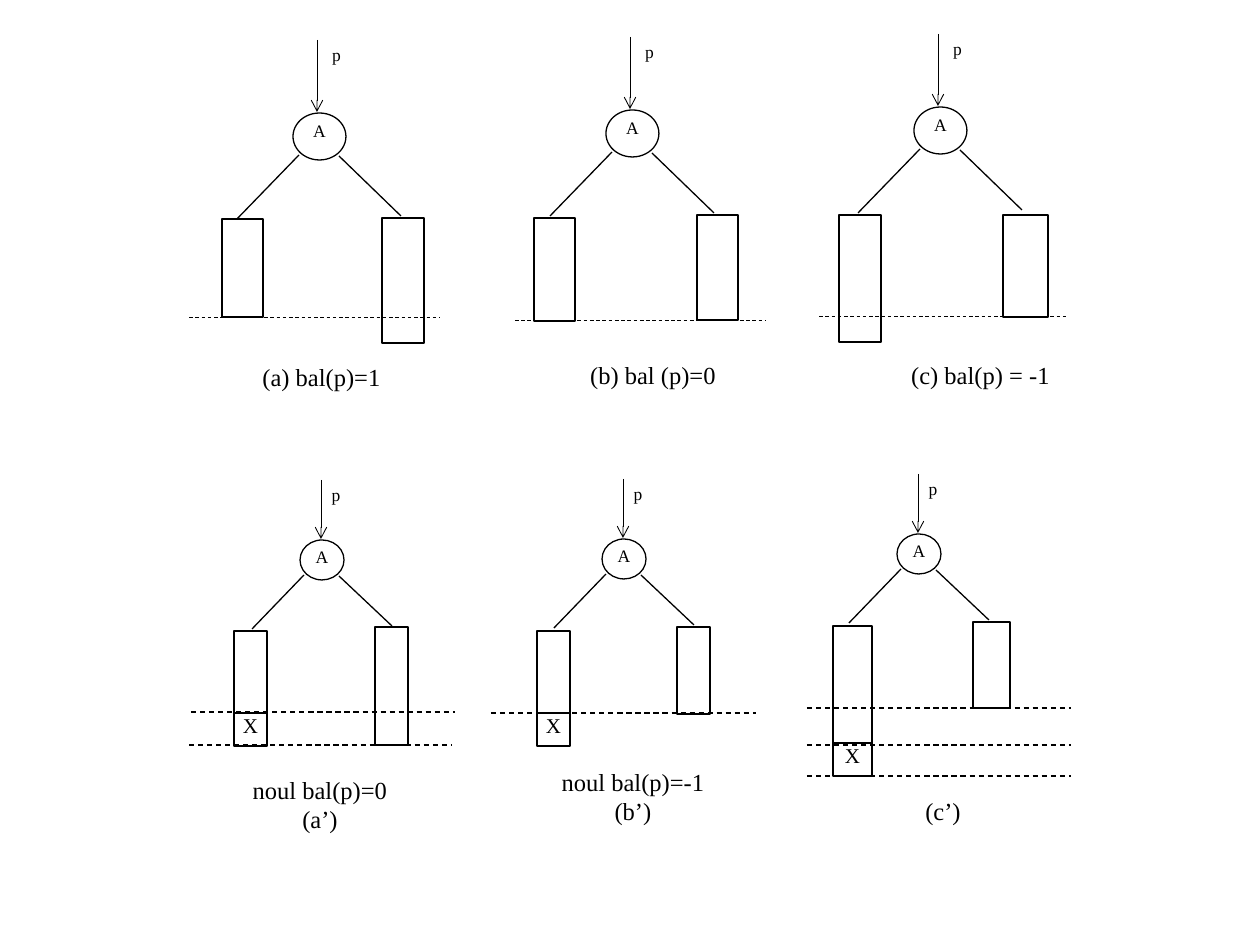
import pptx
import pptx.util
import pptx.dml.color
import pptx.enum.dml
import pptx.enum.shapes
import pptx.enum.text
import pptx.oxml
import pptx.oxml.ns

SCALE = 914400 / 126
BLACK, WHITE = "000000", "FFFFFF"
FONT = "Times New Roman"
SHAPES = pptx.enum.shapes.MSO_SHAPE

BEFORE = {
    "node": (53, 47), "label": (17, -74, 53, 63), "pointer": (24, -73, 24, -1),
    "branches": [(6, 42, -56, 106), (46, 43, 108, 103)], "dash_width": 0.5,
}
AFTER = {
    "node": (44, 40), "label": (14, -61, 44, 53), "pointer": (21, -60, 21, -1),
    "branches": [(4, 35, -48, 89), (39, 36, 92, 86)], "dash_width": 0.75,
}

TREES = [
    {"layout": BEFORE, "at": (293, 113),
     "subtrees": [(222, 219, 41, 98), (382, 218, 42, 125)],
     "levels": [(189, 440, 317)],
     "caption": ["(a) bal(p)=1"], "caption_at": (234, 362, 175, 48)},
    {"layout": BEFORE, "at": (606, 110),
     "subtrees": [(534, 218, 41, 103), (697, 215, 41, 105)],
     "levels": [(515, 766, 320)],
     "caption": ["(b) bal (p)=0"], "caption_at": (566, 360, 174, 49)},
    {"layout": BEFORE, "at": (914, 107),
     "subtrees": [(839, 215, 42, 127), (1003, 215, 45, 102)],
     "levels": [(819, 1069, 316)],
     "caption": ["(c) bal(p) = -1"], "caption_at": (890, 360, 181, 49)},
    {"layout": AFTER, "at": (300, 540),
     "subtrees": [(234, 631, 33, 82), (375, 627, 33, 118)],
     "inserted": (234, 713, 33, 33),
     "levels": [(189, 451, 745), (191, 455, 712)],
     "caption": ["noul bal(p)=0", "(a’)"], "caption_at": (226, 775, 188, 76)},
    {"layout": AFTER, "at": (602, 539),
     "subtrees": [(537, 631, 33, 83), (677, 627, 33, 87)],
     "inserted": (537, 713, 33, 33),
     "levels": [(491, 756, 713)],
     "caption": ["noul bal(p)=-1", "(b’)"], "caption_at": (539, 767, 188, 76)},
    {"layout": AFTER, "at": (897, 534),
     "subtrees": [(833, 626, 39, 142), (973, 622, 37, 86)],
     "inserted": (833, 743, 39, 33),
     "levels": [(807, 1071, y) for y in (708, 745, 776)],
     "caption": ["(c’)"], "caption_at": (916, 796, 54, 45)},
]


def px(*lengths):
    return [pptx.util.Emu(round(length * SCALE)) for length in lengths]


def color(value):
    return pptx.dml.color.RGBColor.from_string(value)


def write(shape, lines, size=10, inset=0, ink=BLACK):
    frame = shape.text_frame
    frame.word_wrap = True
    frame.vertical_anchor = pptx.enum.text.MSO_ANCHOR.TOP
    (margin,) = px(inset)
    frame.margin_left = frame.margin_right = margin
    frame.margin_top = frame.margin_bottom = margin
    frame.text = "\n".join(lines)
    for paragraph in frame.paragraphs:
        paragraph.alignment = pptx.enum.text.PP_ALIGN.CENTER
        font = paragraph.runs[0].font
        font.name, font.size = FONT, pptx.util.Pt(size)
        font.color.rgb = color(ink)


def add_box(slide, at, preset=SHAPES.RECTANGLE, outlined=True):
    box = slide.shapes.add_shape(preset, *px(*at))
    box.shadow.inherit = False
    box.fill.solid()
    box.fill.fore_color.rgb = color(WHITE)
    if outlined:
        box.line.color.rgb = color(BLACK)
        box.line.width = pptx.util.Pt(0.75)
    else:
        box.line.fill.background()
    return box


def add_line(slide, ends, width=0.75, dashed=False, arrow=False):
    line = slide.shapes.add_connector(
        pptx.enum.shapes.MSO_CONNECTOR.STRAIGHT, *px(*ends))
    line.line.color.rgb = color(BLACK)
    line.line.width = pptx.util.Pt(width)
    if dashed:
        line.line.dash_style = pptx.enum.dml.MSO_LINE.DASH
    properties = line._element.spPr
    if arrow:
        tip = pptx.oxml.ns.nsdecls("a")
        line.line._get_or_add_ln().append(
            pptx.oxml.parse_xml(f'<a:tailEnd {tip} type="arrow"/>'))
    properties.append(pptx.oxml.parse_xml(
        f'<a:effectLst {pptx.oxml.ns.nsdecls("a")}/>'))


def add_tree(slide, tree):
    layout = tree["layout"]
    left, top = tree["at"]

    def shifted(ends):
        x1, y1, x2, y2 = ends
        return left + x1, top + y1, left + x2, top + y2

    x, y, width, height = layout["label"]
    label = add_box(slide, (left + x, top + y, width, height), outlined=False)
    write(label, ["p"], inset=5)
    node = add_box(slide, (left, top, *layout["node"]), SHAPES.FLOWCHART_CONNECTOR)
    write(node, ["A"])
    for branch in layout["branches"]:
        add_line(slide, shifted(branch))
    add_line(slide, shifted(layout["pointer"]), width=0.5, arrow=True)
    for subtree in tree["subtrees"]:
        add_box(slide, subtree, SHAPES.FLOWCHART_PROCESS)
    if "inserted" in tree:
        write(add_box(slide, tree["inserted"]), ["X"], size=12)
    caption = slide.shapes.add_textbox(*px(*tree["caption_at"]))
    write(caption, tree["caption"], size=14)
    for start, end, level in tree["levels"]:
        add_line(slide, (start, level, end, level), layout["dash_width"], dashed=True)


def main():
    deck = pptx.Presentation()
    deck.slide_width, deck.slide_height = px(1260, 945)
    slide = deck.slides.add_slide(deck.slide_layouts[6])
    for tree in TREES:
        add_tree(slide, tree)
    deck.save("out.pptx")


if __name__ == "__main__":
    main()
